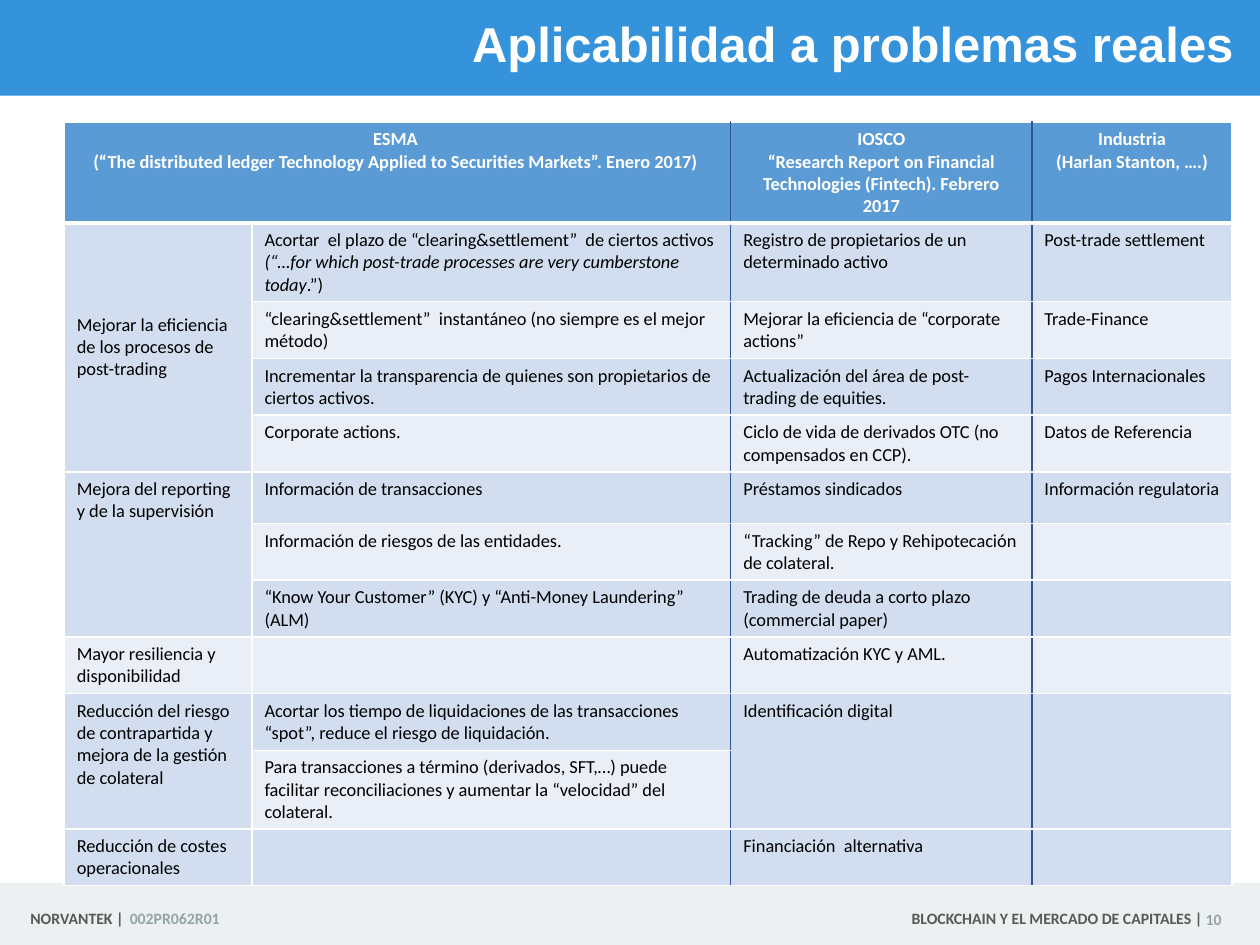
from lxml.etree import SubElement as Sub
from pptx import Presentation
from pptx.dml.color import RGBColor as RGB
from pptx.enum.shapes import MSO_SHAPE as Shape
from pptx.enum.text import MSO_ANCHOR as Anchor, PP_ALIGN as Align
from pptx.oxml.ns import qn
from pptx.util import Inches, Pt

WHITE = RGB(0xFF, 0xFF, 0xFF)
BLACK = RGB(0, 0, 0)
SKY = RGB(0x34, 0x93, 0xDB)
CLOUD = RGB(0xEC, 0xF0, 0xF1)
GRAY = RGB(0x59, 0x59, 0x59)
ASH = RGB(0x95, 0xA5, 0xA6)
NAVY = RGB(0x2F, 0x55, 0x97)
HEAD = RGB(0x5B, 0x9B, 0xD5)
BANDS = (RGB(0xEA, 0xEF, 0xF7), RGB(0xD2, 0xDE, 0xEF))

COLS = (1.49, 3.8, 2.39, 1.59)
HIGHS = [0.41] * 9 + [0.45] * 2 + [0.41]
SPANS = ((0, 0, 0, 1), (1, 0, 4, 0), (5, 0, 7, 0),
         (9, 0, 10, 0), (9, 2, 10, 2), (9, 3, 10, 3))
ROWS = (
    ("ESMA \n(“The distributed ledger Technology Applied to Securities Markets”."
     " Enero 2017) ", "",
     "IOSCO\n“Research Report on Financial Technologies (Fintech). Febrero 2017",
     "Industria\n(Harlan Stanton, ….)"),
    ("Mejorar la eficiencia de los procesos de post-trading",
     "Acortar  el plazo de “clearing&settlement”  de ciertos activos "
     "*(“…for which post-trade processes are very cumberstone today*.”)",
     "Registro de propietarios de un determinado activo",
     "Post-trade settlement"),
    ("", "“clearing&settlement”  instantáneo (no siempre es el mejor método)",
     "Mejorar la eficiencia de “corporate actions”", "Trade-Finance"),
    ("", "Incrementar la transparencia de quienes son propietarios de "
     "ciertos activos.",
     "Actualización del área de post-trading de equities.",
     "Pagos Internacionales"),
    ("", "Corporate actions.",
     "Ciclo de vida de derivados OTC (no compensados en CCP).",
     "Datos de Referencia "),
    ("Mejora del reporting y de la supervisión",
     "Información de transacciones", "Préstamos sindicados",
     "Información regulatoria"),
    ("", "Información de riesgos de las entidades.",
     "“Tracking” de Repo y Rehipotecación de colateral.", ""),
    ("", "“Know Your Customer” (KYC) y “Anti-Money Laundering” (ALM)",
     "Trading de deuda a corto plazo (commercial paper)", ""),
    ("Mayor resiliencia y disponibilidad", "", "Automatización KYC y AML.", ""),
    ("Reducción del riesgo de contrapartida y mejora de la gestión de colateral",
     "Acortar los tiempo de liquidaciones de las transacciones “spot”, "
     "reduce el riesgo de liquidación.", "Identificación digital ", ""),
    ("", "Para transacciones a término (derivados, SFT,…) puede facilitar "
     "reconciliaciones y aumentar la “velocidad” del colateral.", "", ""),
    ("Reducción de costes operacionales", "", "Financiación  alternativa", ""),
)


def put(frame, text, size=10.5, color=BLACK, bold=False, font="Calibri",
        align=Align.LEFT, lead=None, before=None):
    """Write lines of text; asterisks switch italics on and off."""
    for i, line in enumerate(text.split("\n")):
        para = frame.add_paragraph() if i else frame.paragraphs[0]
        para.alignment = align
        if lead:
            para.line_spacing = lead
        if before:
            para.space_before = Pt(before)
        for j, part in enumerate(line.split("*")):
            run = para.add_run()
            run.text = part
            face = run.font
            face.name, face.size, face.bold = font, Pt(size), bold
            face.italic = j % 2 == 1
            face.color.rgb = color


def edge(cell, side, color, width=1):
    """Draw one border of a cell."""
    line = Sub(cell._tc.get_or_add_tcPr(), qn("a:ln" + side),
               w=str(Pt(width)))
    Sub(Sub(line, qn("a:solidFill")), qn("a:srgbClr"), val=str(color))


class Deck:
    """Holds the file and its current slide."""

    def __init__(self):
        """Open a file with one title slide."""
        self.file = Presentation()
        self.file.slide_width, self.file.slide_height = Inches(10), Inches(7.5)
        self.page = self.file.slides.add_slide(self.file.slide_layouts[5])

    def bar(self, top, wide, high, color):
        """Add a plain band from the left edge."""
        box = self.page.shapes.add_shape(
            Shape.RECTANGLE, 0, Inches(top), Inches(wide), Inches(high))
        box.shadow.inherit = False
        box.fill.solid()
        box.fill.fore_color.rgb = color
        box.line.fill.background()

    def title(self, text):
        """Fill the title and lift it above the bands."""
        head = self.page.shapes.title
        head.left, head.top = Inches(3.18), Inches(0.01)
        head.width, head.height = Inches(6.71), Inches(0.72)
        head.text_frame.vertical_anchor = Anchor.MIDDLE
        put(head.text_frame, text, size=28, color=WHITE, bold=True,
            font="Arial", align=Align.RIGHT, lead=0.9)
        self.page.shapes._spTree.append(head._element)

    def note(self, text, left, top, wide, pads, **form):
        """Add a footer text."""
        box = self.page.shapes.add_textbox(
            Inches(left), Inches(top), Inches(wide), Inches(0.31))
        frame = box.text_frame
        frame.word_wrap = True
        frame.vertical_anchor = Anchor.MIDDLE
        frame.margin_left, frame.margin_right = map(Inches, pads)
        put(frame, text, size=9, bold=True, **form)

    def cell(self, cell, row, col, text):
        """Style and fill one table cell."""
        left, right = col >= 2, col in (1, 2)
        if row == 10:
            left, right = col == 3, col == 2
        if row == 0 and col == 0:
            right = True
        edge(cell, "L", NAVY if left else WHITE)
        edge(cell, "R", NAVY if right else WHITE)
        edge(cell, "T", WHITE, 3 if row == 1 else 1)
        edge(cell, "B", WHITE, 1 if row else 3)
        cell.fill.solid()
        cell.fill.fore_color.rgb = BANDS[row % 2] if row else HEAD
        if text and row:
            put(cell.text_frame, text)
        elif text:
            put(cell.text_frame, text, color=WHITE, bold=True,
                align=Align.CENTER)

    def table(self, left, top, rows):
        """Add the table with its merged cells."""
        frame = self.page.shapes.add_table(
            len(rows), len(COLS), Inches(left), Inches(top),
            Inches(sum(COLS)), Inches(sum(HIGHS)))
        grid = frame.table
        grid.first_row = grid.horz_banding = False
        for col, wide in zip(grid.columns, COLS):
            col.width = Inches(wide)
        for row, high in zip(grid.rows, HIGHS):
            row.height = Inches(high)
        for r, row in enumerate(rows):
            for c, text in enumerate(row):
                self.cell(grid.cell(r, c), r, c, text)
        for r, c, end, last in SPANS:
            grid.cell(r, c).merge(grid.cell(end, last))
        grid.cell(1, 0).vertical_anchor = Anchor.MIDDLE
        frame.height = Inches(6.1)


deck = Deck()
deck.bar(0, 10.01, 0.76, SKY)
deck.bar(7.01, 10, 0.53, CLOUD)
before, after = (0.1, 0), (0, 0.1)
deck.note("NORVANTEK |", 0.09, 7.13, 0.89, before, color=GRAY,
          align=Align.RIGHT)
deck.note("002PR062R01", 1.03, 7.14, 0.89, after, color=ASH, lead=0.9,
          before=10)
deck.note("BLOCKCHAIN Y EL MERCADO DE CAPITALES |", 6.16, 7.13, 3.38, before,
          color=GRAY, align=Align.RIGHT)
deck.title("Aplicabilidad a problemas reales")
deck.note(" 10", 9.54, 7.14, 0.35, after, color=ASH)
deck.table(0.51, 0.97, ROWS)
deck.file.save("out.pptx")
